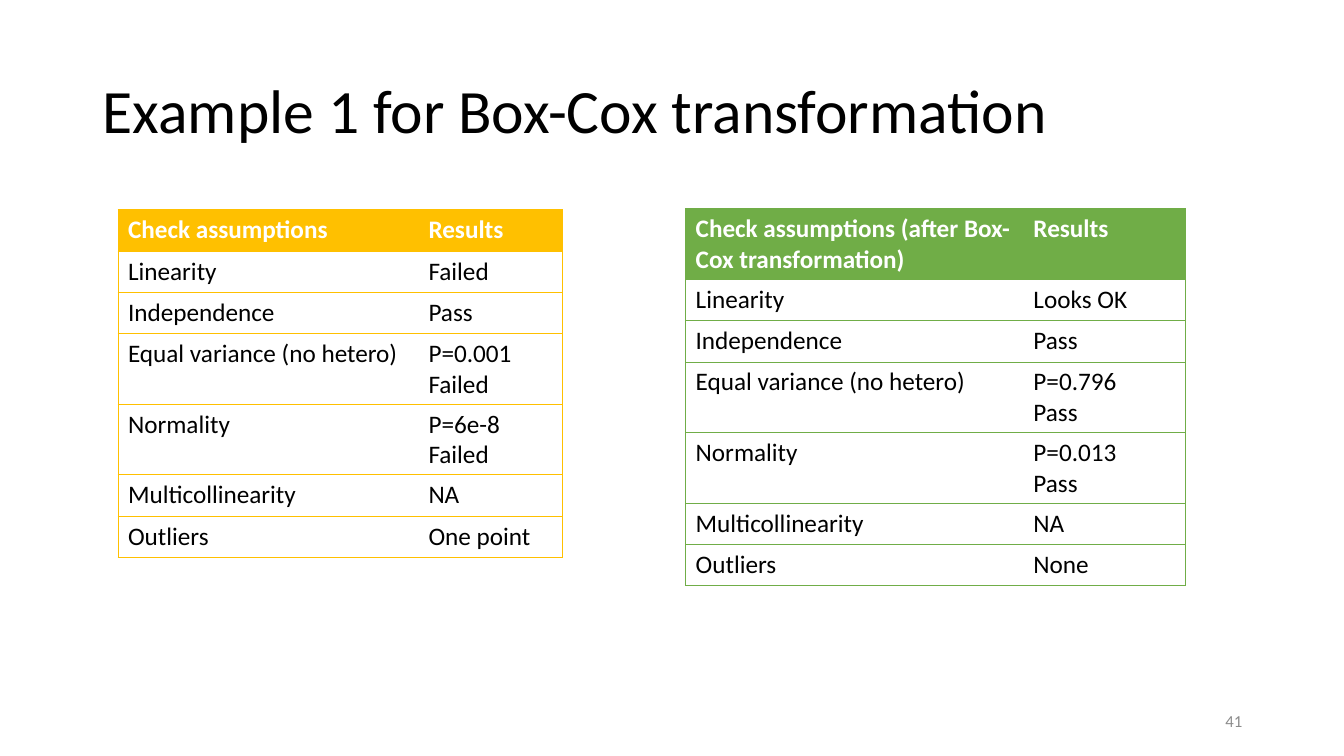
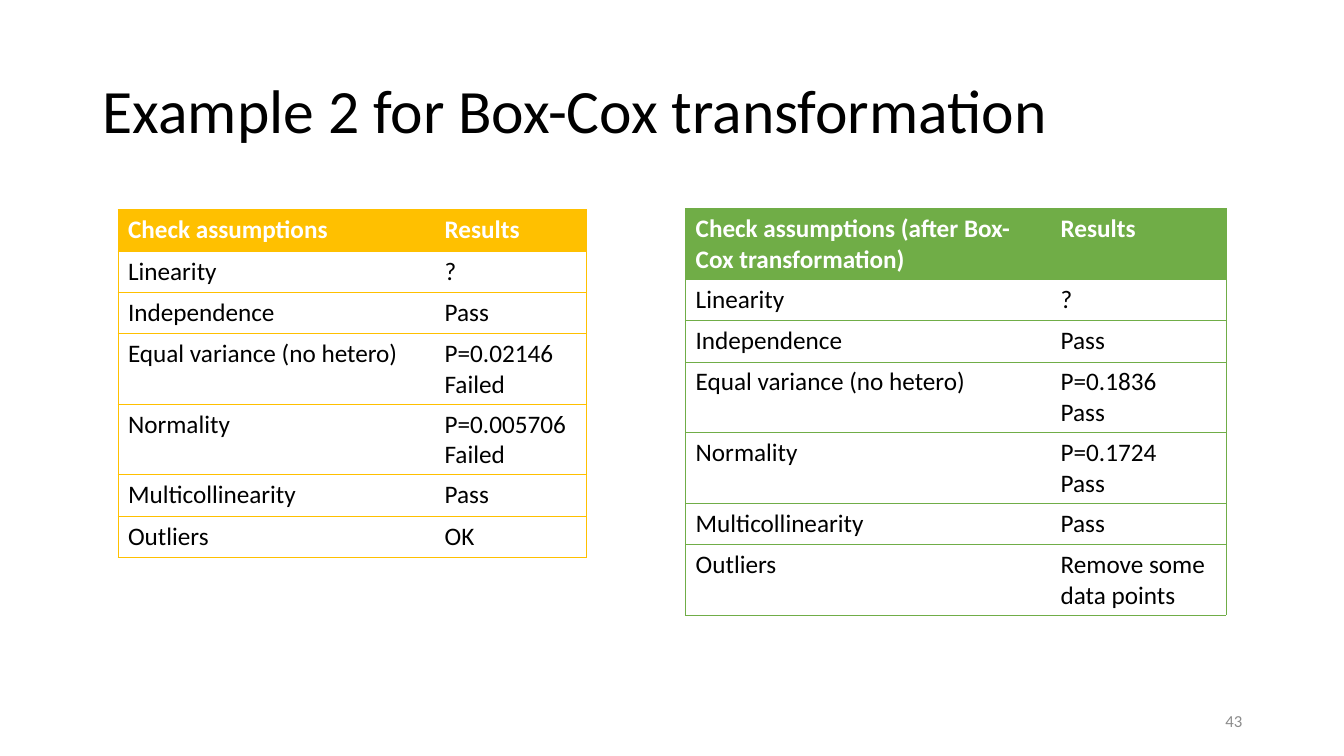
from lxml import etree
from pptx import Presentation
from pptx import util as u
from pptx.dml.color import RGBColor
from pptx.enum import text
from pptx.oxml import ns

BLACK = RGBColor(0x00, 0x00, 0x00)
WHITE = RGBColor(0xFF, 0xFF, 0xFF)
GRAY = RGBColor(0x8C, 0x8C, 0x8C)
GOLD = RGBColor(0xFF, 0xC0, 0x00)
GREEN = RGBColor(0x70, 0xAD, 0x47)

ASSUMPTIONS = ["Linearity", "Independence", "Equal variance (no hetero)",
               "Normality", "Multicollinearity", "Outliers"]


class Deck:
    """Holds the shared style and the current slide."""
    FONT = "Calibri"
    ROW_HEIGHT = 0.41
    BORDER_WIDTH = u.Pt(0.5)

    def __init__(self):
        self.prs = Presentation()
        self.prs.slide_width = u.Inches(13.33)
        self.prs.slide_height = u.Inches(7.5)
        self.slide = None

    def style(self, frame, size, color, bold=False):
        for paragraph in frame.paragraphs:
            for run in paragraph.runs:
                run.font.name = self.FONT
                run.font.size = u.Pt(size)
                run.font.bold = bold
                run.font.color.rgb = color

    def label(self, words, box, size, color, align, spacing):
        frame = self.slide.shapes.add_textbox(*map(u.Inches, box)).text_frame
        frame.word_wrap = True
        frame.vertical_anchor = text.MSO_ANCHOR.MIDDLE
        frame.text = words
        frame.paragraphs[0].alignment = align
        frame.paragraphs[0].line_spacing = spacing
        self.style(frame, size, color)

    def new_slide(self, title, number):
        self.slide = self.prs.slides.add_slide(self.prs.slide_layouts[6])
        self.label(title, (0.92, 0.4, 11.5, 1.45), 44, BLACK,
                   text.PP_ALIGN.LEFT, 0.9)
        self.label(number, (9.42, 6.95, 3, 0.4), 12, GRAY,
                   text.PP_ALIGN.RIGHT, 1.0)

    def borders(self, cell, color, first, last):
        """Draw horizontal rules and the outer sides, no inner verticals."""
        properties = cell._tc.get_or_add_tcPr()
        for side, drawn in (("L", first), ("R", last), ("T", True), ("B", True)):
            line = etree.SubElement(properties, ns.qn(f"a:ln{side}"),
                                    w=str(self.BORDER_WIDTH))
            if drawn:
                fill = etree.SubElement(line, ns.qn("a:solidFill"))
                etree.SubElement(fill, ns.qn("a:srgbClr"), val=str(color))
            else:
                etree.SubElement(line, ns.qn("a:noFill"))

    def results_table(self, left, top, widths, accent, heading, results):
        rows = [(heading, "Results"), *zip(ASSUMPTIONS, results)]
        table = self.slide.shapes.add_table(
            len(rows), len(widths), u.Inches(left), u.Inches(top),
            u.Inches(sum(widths)), u.Inches(self.ROW_HEIGHT * len(rows))).table
        table.first_row = table.horz_banding = False
        for column, width in zip(table.columns, widths):
            column.width = u.Inches(width)
        for r, row in enumerate(rows):
            table.rows[r].height = u.Inches(self.ROW_HEIGHT)
            for c, words in enumerate(row):
                cell = table.cell(r, c)
                cell.text_frame.text = words
                self.borders(cell, accent, c == 0, c == len(row) - 1)
                if r == 0:
                    cell.fill.solid()
                    cell.fill.fore_color.rgb = accent
                    self.style(cell.text_frame, 18, WHITE, bold=True)
                else:
                    cell.fill.background()
                    self.style(cell.text_frame, 18, BLACK)

    def before_table(self, widths, results):
        self.results_table(1.17, 2.08, widths, GOLD,
                           "Check assumptions", results)

    def after_table(self, widths, results):
        self.results_table(6.8, 2.07, widths, GREEN,
                           "Check assumptions (after Box-Cox transformation)",
                           results)


def main():
    deck = Deck()

    # Example 1
    deck.new_slide("Example 1 for Box-Cox transformation", "41")
    deck.before_table((2.98, 1.43), ["Failed", "Pass", "P=0.001\nFailed",
                                     "P=6e-8\nFailed", "NA", "One point"])
    deck.after_table((3.35, 1.61), ["Looks OK", "Pass", "P=0.796\nPass",
                                    "P=0.013\nPass", "NA", "None"])

    # Example 2
    deck.new_slide("Example 2 for Box-Cox transformation", "43")
    deck.before_table((3.14, 1.51), ["?", "Pass", "P=0.02146\nFailed",
                                     "P=0.005706\nFailed", "Pass", "OK"])
    deck.after_table((3.62, 1.74), ["?", "Pass", "P=0.1836\nPass",
                                    "P=0.1724\nPass", "Pass",
                                    "Remove some data points"])

    deck.prs.save("out.pptx")


if __name__ == "__main__":
    main()
